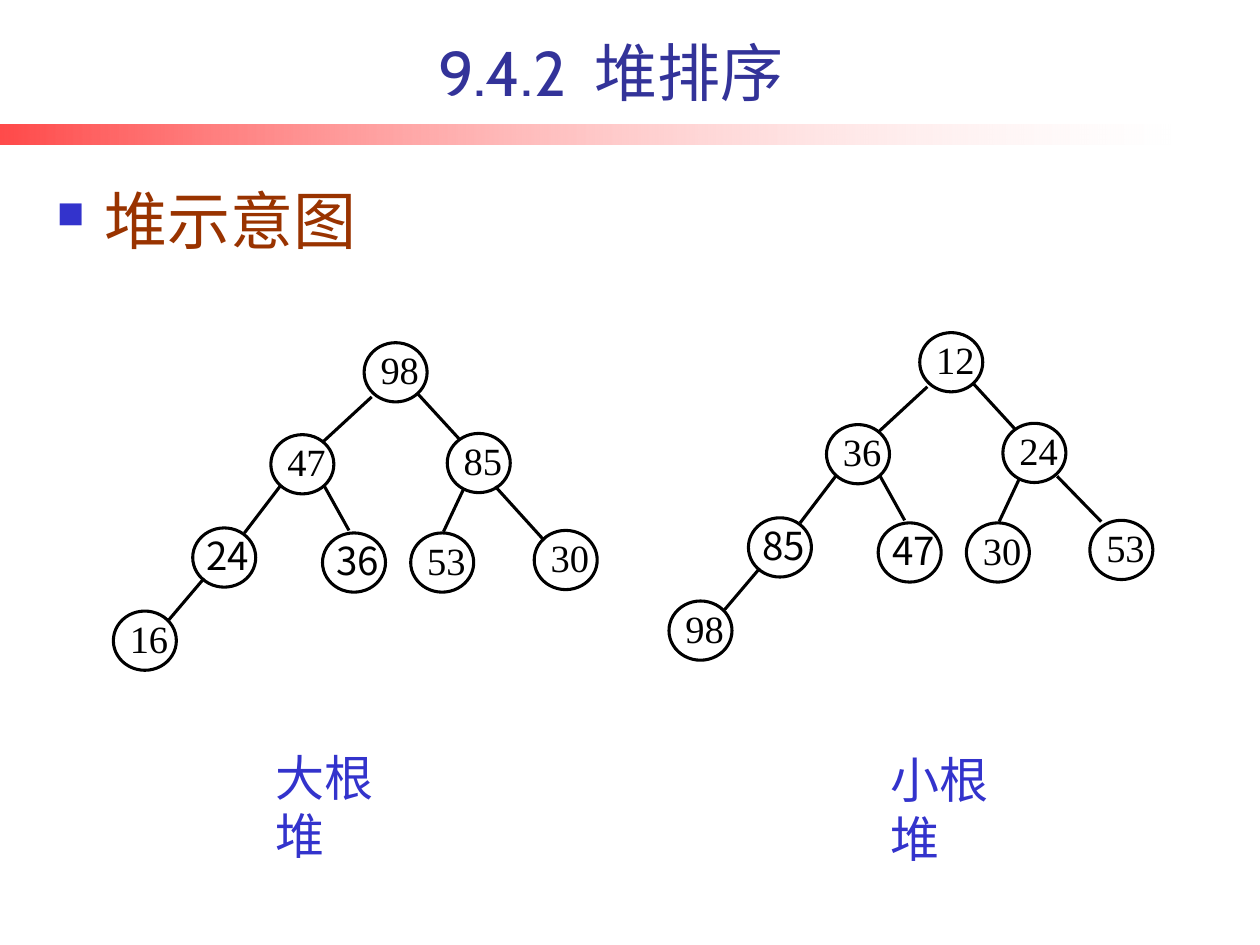
from dataclasses import dataclass

from lxml import etree
from pptx import Presentation
from pptx.dml.color import RGBColor
from pptx.enum.shapes import MSO_CONNECTOR, MSO_SHAPE
from pptx.enum.text import MSO_ANCHOR, MSO_AUTO_SIZE, PP_ALIGN
from pptx.oxml.ns import qn
from pptx.util import Inches, Pt

ELLIPSE, RECTANGLE = MSO_SHAPE.OVAL, MSO_SHAPE.RECTANGLE
STRAIGHT = MSO_CONNECTOR.STRAIGHT
BOTTOM, TOP = MSO_ANCHOR.BOTTOM, MSO_ANCHOR.TOP
LEFT, CENTER = PP_ALIGN.LEFT, PP_ALIGN.CENTER
Point = tuple[float, float]
Edge = tuple[Point, Point]


@dataclass(frozen=True)
class Theme:
    title: str = "333399"
    heading: str = "993300"
    accent: str = "3333CC"
    ink: str = "000000"
    bar_start: str = "FFFFFF"
    bar_end: str = "FF0000"
    font: str = "Cabin"
    serif: str = "Times New Roman"
    sans: str = "Noto Sans CJK SC"
    title_size: float = 36
    caption_size: float = 28
    node_size: float = 22
    line_width: float = 1.75


@dataclass(frozen=True)
class Heap:
    caption: str
    caption_at: Point
    offset: Point
    keys: tuple[int, ...]  # level order
    last_edge: Edge  # from the root's right child to its right child


THEME = Theme()
NODE_WIDTH, NODE_HEIGHT = 0.5, 0.47

# Node corners in level order, and the edges that both heaps share
NODES: list[Point] = [
    (2.89, 2.72), (2.15, 3.45), (3.55, 3.44), (1.53, 4.19),
    (2.56, 4.23), (3.26, 4.23), (4.24, 4.21), (0.9, 4.85),
]
SANS_NODES = (3, 4)
EDGES: list[Edge] = [
    ((2.95, 3.15), (2.56, 3.51)), ((3.32, 3.13), (3.65, 3.49)),
    ((2.23, 3.85), (1.94, 4.23)), ((2.57, 3.85), (2.77, 4.21)),
    ((3.68, 3.88), (3.52, 4.22)), ((1.62, 4.59), (1.34, 4.92)),
]
HEAPS = [
    Heap("大根堆", (2.09, 5.88), (0, 0), (98, 47, 85, 24, 36, 53, 30, 16),
         ((3.93, 3.86), (4.32, 4.29))),
    Heap("小根堆", (6.97, 5.9), (4.41, -0.08), (12, 36, 24, 85, 47, 30, 53, 98),
         ((3.98, 3.86), (4.33, 4.22))),
]


def color(value: str) -> RGBColor:
    return RGBColor.from_string(value)


def place(shape, left: float, top: float, width: float, height: float) -> None:
    box = {"left": left, "top": top, "width": width, "height": height}
    for side, length in box.items():
        setattr(shape, side, Inches(length))


def write(shape, text: str, size: float, font: str, ink: str, align=LEFT,
          anchor=TOP, margins: Point = (0.1, 0.05), wrap: bool = False,
          auto_size=MSO_AUTO_SIZE.NONE):
    across, down = map(Inches, margins)
    frame = shape.text_frame
    frame_format = {
        "margin_left": across, "margin_right": across,
        "margin_top": down, "margin_bottom": down,
        "word_wrap": wrap, "auto_size": auto_size, "vertical_anchor": anchor,
    }
    for name, value in frame_format.items():
        setattr(frame, name, value)
    paragraph = frame.paragraphs[0]
    paragraph.alignment = align
    run = paragraph.add_run()
    run.text = text
    for name, value in {"size": Pt(size), "name": font, "bold": False}.items():
        setattr(run.font, name, value)
    run.font.color.rgb = color(ink)
    return paragraph


def add_text(shapes, text: str, box: tuple[float, ...], *style, **options):
    return write(shapes.add_textbox(*map(Inches, box)), text, *style, **options)


def add_bar(shapes) -> None:
    bar = shapes.add_shape(RECTANGLE, *map(Inches, (0, 0.99, 9.29, 0.16)))
    bar.shadow.inherit = False
    bar.line.fill.background()
    bar.fill.gradient()
    bar.fill.gradient_angle = 180
    for stop, value in zip(bar.fill.gradient_stops, (THEME.bar_start, THEME.bar_end)):
        stop.color.rgb = color(value)
    stop_colors = bar._element.spPr.iter(qn("a:srgbClr"))
    for stop_color, percent in zip(stop_colors, (18, 71)):
        etree.SubElement(stop_color, qn("a:alpha"), val=str(percent * 1000))


def add_bullet(paragraph) -> None:
    properties = paragraph._p.get_or_add_pPr()
    properties.set("marL", str(Inches(0.38)))
    properties.set("indent", str(Inches(-0.38)))
    bullet_color = etree.SubElement(properties, qn("a:buClr"))
    etree.SubElement(bullet_color, qn("a:srgbClr"), val=THEME.accent)
    etree.SubElement(properties, qn("a:buSzPct"), val="60000")
    etree.SubElement(properties, qn("a:buChar"), char="■")


def add_node(shapes, key: int, left: float, top: float, sans: bool) -> None:
    inset, width = (0.11, 0.35) if sans else (0.13, 0.31)
    add_text(shapes, str(key), (left + inset, top + 0.03, width, 0.37),
             THEME.node_size, THEME.sans if sans else THEME.serif, THEME.ink,
             margins=(0, 0), auto_size=MSO_AUTO_SIZE.SHAPE_TO_FIT_TEXT)
    circle = shapes.add_shape(
        ELLIPSE, *map(Inches, (left, top, NODE_WIDTH, NODE_HEIGHT)))
    circle.shadow.inherit = False
    circle.fill.background()
    circle.line.color.rgb = color(THEME.ink)
    circle.line.width = Pt(THEME.line_width)


def add_edge(shapes, start: Point, end: Point) -> None:
    edge = shapes.add_connector(STRAIGHT, *map(Inches, (*start, *end)))
    edge.line.color.rgb = color(THEME.ink)
    edge.line.width = Pt(THEME.line_width)
    etree.SubElement(edge._element.spPr, qn("a:effectLst"))


def add_heap(slide_shapes, heap: Heap) -> None:
    def shift(point: Point) -> Point:
        return point[0] + heap.offset[0], point[1] + heap.offset[1]

    tree = slide_shapes.add_group_shape().shapes
    for index, (key, corner) in enumerate(zip(heap.keys, NODES)):
        add_node(tree, key, *shift(corner), sans=index in SANS_NODES)
    for start, end in [*EDGES, heap.last_edge]:
        add_edge(tree, shift(start), shift(end))
    add_text(slide_shapes, heap.caption, (*heap.caption_at, 1.36, 0.57),
             THEME.caption_size, THEME.font, THEME.accent,
             auto_size=MSO_AUTO_SIZE.SHAPE_TO_FIT_TEXT)


def main() -> None:
    presentation = Presentation()
    presentation.slide_width = Inches(10)
    presentation.slide_height = Inches(7.5)
    slide = presentation.slides.add_slide(presentation.slide_layouts[5])
    shapes = slide.shapes

    # Title and the fading bar below it
    place(shapes.title, 0.59, 0.21, 8.52, 0.71)
    write(shapes.title, "9.4.2  堆排序", THEME.title_size, THEME.font, THEME.title,
          align=CENTER, anchor=BOTTOM, wrap=True)
    add_bar(shapes)

    # Bulleted heading
    heading = add_text(shapes, "堆示意图", (0.35, 1.39, 9.28, 0.86),
                       THEME.title_size, THEME.font, THEME.heading, wrap=True)
    add_bullet(heading)

    # Max heap and min heap
    for heap in HEAPS:
        add_heap(shapes, heap)

    presentation.save("out.pptx")


if __name__ == "__main__":
    main()
